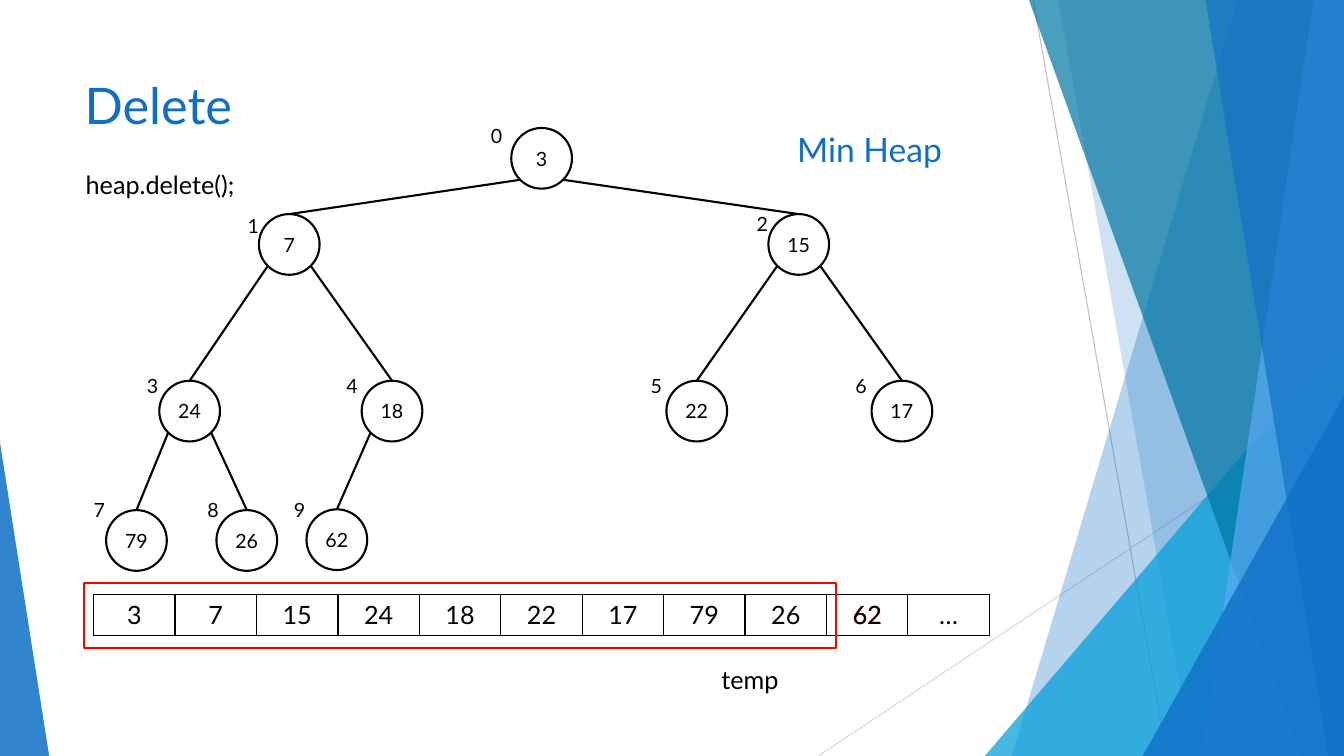
from math import sqrt

from lxml.etree import SubElement
from pptx import Presentation
from pptx.dml.color import RGBColor
from pptx.enum.shapes import MSO_CONNECTOR, MSO_SHAPE
from pptx.enum.text import MSO_ANCHOR, PP_ALIGN
from pptx.oxml.ns import qn
from pptx.util import Cm, Pt

FONT = "Lato"
WIDTH, HEIGHT = 33.87, 19.05
COLORS = {
    "blue": "0F6FC6", "cyan": "009DD9", "teal": "0076A3", "sky": "59AAF2",
    "black": "000000", "white": "FFFFFF", "red": "FF0000",
    "gray": "BFBFBF", "pale": "D9D9D9",
}

# Backdrop, lengths in cm
RAYS = [  # start, end, color
    ((26.04, 0), (29.41, HEIGHT), "gray"),
    ((WIDTH, 10.24), (20.62, HEIGHT), "pale"),
]
BANDS_BEHIND = [  # top left x, bottom left x, color, opacity in percent
    (31.19, 25.5, "blue", 30),
    (26.67, 30.05, "blue", 20),
]
BANDS_FRONT = [
    (25.93, 32.79, "teal", 70),
    (33.1, 30.28, "sky", 70),
    (30.38, 33.48, "blue", 65),
]
CYAN_WEDGE = (24.82, 8.46, 9.05, 1, "cyan", 72)  # left, top, width, apex, color, opacity
BLUE_WEDGES = [(28.8, 9.98, 5.07, 1, "blue", 80), (0, 11.15, 1.24, 0, "blue", 85)]

# Heap in array order: value, node center, index label corner
HEAP = [
    ("3", (13.65, 3.99), (12.12, 3.0)),
    ("7", (7.29, 6.16), (5.99, 5.26)),
    ("15", (20.13, 6.16), (18.82, 5.21)),
    ("24", (4.78, 10.36), (3.45, 9.3)),
    ("18", (9.88, 10.36), (8.48, 9.3)),
    ("22", (17.56, 10.36), (16.15, 9.3)),
    ("17", (22.73, 10.36), (21.31, 9.3)),
    ("79", (3.44, 13.62), (2.11, 12.42)),
    ("26", (6.22, 13.62), (4.98, 12.42)),
    ("62", (8.49, 13.6), (7.16, 12.42)),
]
NODE_SIZE = 1.53
ARRAY = [value for value, _, _ in HEAP] + ["…"]
ARRAY_BOX = (2.36, 14.99, 22.58, 1.03)
REMOVED = len(HEAP) - 1
CAPTIONS = [  # text, left, top, width, height, size, color
    ("Min Heap", 19.84, 3.12, 4.24, 1.27, 24, "blue"),
    ("heap.delete();", 1.91, 4.14, 4.85, 1.02, 18, "black"),
    ("temp", 17.93, 16.61, 2.18, 1.02, 18, "black"),
]


def rgb(name):
    return RGBColor.from_string(COLORS[name])


def write(frame, text, size, color="black", align=PP_ALIGN.LEFT):
    para = frame.paragraphs[0]
    para.alignment = align
    span = para.add_run()
    span.text = text
    span.font.name = FONT
    span.font.size = Pt(size)
    span.font.color.rgb = rgb(color)


def add_text(page, text, left, top, width, height, size, color="black",
             align=PP_ALIGN.LEFT):
    box = page.shapes.add_textbox(Cm(left), Cm(top), Cm(width), Cm(height))
    box.text_frame.word_wrap = True
    write(box.text_frame, text, size, color, align)


def add_line(page, start, end, color, weight):
    line = page.shapes.add_connector(
        MSO_CONNECTOR.STRAIGHT, *(Cm(length) for length in (*start, *end)))
    line.line.color.rgb = rgb(color)
    line.line.width = Pt(weight)
    SubElement(line.element.spPr, qn("a:effectLst"))
    return line


def tint(shape, color, opacity):
    """Give a borderless shape a translucent fill."""
    shape.shadow.inherit = False
    shape.line.fill.background()
    shape.fill.solid()
    shape.fill.fore_color.rgb = rgb(color)
    fill_color = shape.element.spPr.find(".//" + qn("a:srgbClr"))
    SubElement(fill_color, qn("a:alpha")).set("val", str(opacity * 1000))


def add_band(page, top_x, bottom_x, color, opacity):
    """Fill from a slanted left edge to the right side of the slide."""
    outline = page.shapes.build_freeform(Cm(top_x), 0)
    corners = [(WIDTH, 0), (WIDTH, HEIGHT), (bottom_x, HEIGHT)]
    outline.add_line_segments([(Cm(x), Cm(y)) for x, y in corners], close=True)
    tint(outline.convert_to_shape(), color, opacity)


def add_wedge(page, left, top, width, apex, color, opacity):
    wedge = page.shapes.add_shape(MSO_SHAPE.ISOSCELES_TRIANGLE, Cm(left), Cm(top),
                                  Cm(width), Cm(HEIGHT - top))
    wedge.adjustments[0] = apex
    tint(wedge, color, opacity)


def add_backdrop(page):
    for start, end, color in RAYS:
        add_line(page, start, end, color, 0.75)
    for band in BANDS_BEHIND:
        add_band(page, *band)
    add_wedge(page, *CYAN_WEDGE)
    for band in BANDS_FRONT:
        add_band(page, *band)
    for wedge in BLUE_WEDGES:
        add_wedge(page, *wedge)


def add_node(page, value, center):
    left, top = (middle - NODE_SIZE / 2 for middle in center)
    node = page.shapes.add_shape(MSO_SHAPE.OVAL, Cm(left), Cm(top),
                                 Cm(NODE_SIZE), Cm(NODE_SIZE))
    node.shadow.inherit = False
    node.fill.solid()
    node.fill.fore_color.rgb = rgb("white")
    node.line.color.rgb = rgb("black")
    node.line.width = Pt(1.5)
    frame = node.text_frame
    frame.margin_left = frame.margin_right = 0
    frame.vertical_anchor = MSO_ANCHOR.MIDDLE
    write(frame, value, 14, align=PP_ALIGN.CENTER)
    return node


def add_heap(page):
    nodes = [add_node(page, value, center) for value, center, _ in HEAP]
    diagonal = NODE_SIZE / 2 / sqrt(2)
    for child in range(1, len(HEAP)):
        x, y = HEAP[(child - 1) // 2][1]
        side = -1 if child % 2 else 1
        start = (x + side * diagonal, y + diagonal)
        edge = add_line(page, start, HEAP[child][1], "black", 1.5)
        edge.end_connect(nodes[child], 0)
    for index, (_, _, corner) in enumerate(HEAP):
        add_text(page, str(index), *corner, 0.79, 0.86, 14)


def add_array(page):
    left, top, width, height = ARRAY_BOX
    frame = page.shapes.add_table(1, len(ARRAY), *(Cm(n) for n in ARRAY_BOX))
    table = frame.table
    table.first_row = table.horz_banding = False
    column_width = width / len(ARRAY)
    for index, value in enumerate(ARRAY):
        table.columns[index].width = Cm(column_width)
        cell = table.cell(0, index)
        color = "red" if index == REMOVED else "black"
        write(cell.text_frame, value, 18, color, PP_ALIGN.CENTER)
        properties = cell._tc.get_or_add_tcPr()
        for edge in ("a:lnL", "a:lnR", "a:lnT", "a:lnB"):
            border = SubElement(properties, qn(edge), w=str(Pt(1)))
            paint = SubElement(border, qn("a:solidFill"))
            SubElement(paint, qn("a:srgbClr"), val=COLORS["black"])
        cell.fill.background()
    add_text(page, ARRAY[REMOVED], left + REMOVED * column_width, top,
             column_width, height, 18, align=PP_ALIGN.CENTER)


def main():
    deck = Presentation()
    deck.slide_width, deck.slide_height = Cm(WIDTH), Cm(HEIGHT)
    page = deck.slides.add_slide(deck.slide_layouts[5])
    add_backdrop(page)

    title = page.shapes.title
    title.left, title.top, title.width, title.height = Cm(1.88), Cm(1.7), Cm(7.67), Cm(1.85)
    title.text_frame.vertical_anchor = MSO_ANCHOR.MIDDLE
    write(title.text_frame, "Delete", 36, "blue")

    add_heap(page)
    for caption in CAPTIONS:
        add_text(page, *caption)
    add_array(page)
    kept = page.shapes.add_shape(MSO_SHAPE.RECTANGLE, Cm(2.11), Cm(14.7), Cm(18.97), Cm(1.63))
    kept.shadow.inherit = False
    kept.fill.background()
    kept.line.color.rgb = rgb("red")
    kept.line.width = Pt(1.5)
    deck.save("out.pptx")


if __name__ == "__main__":
    main()
